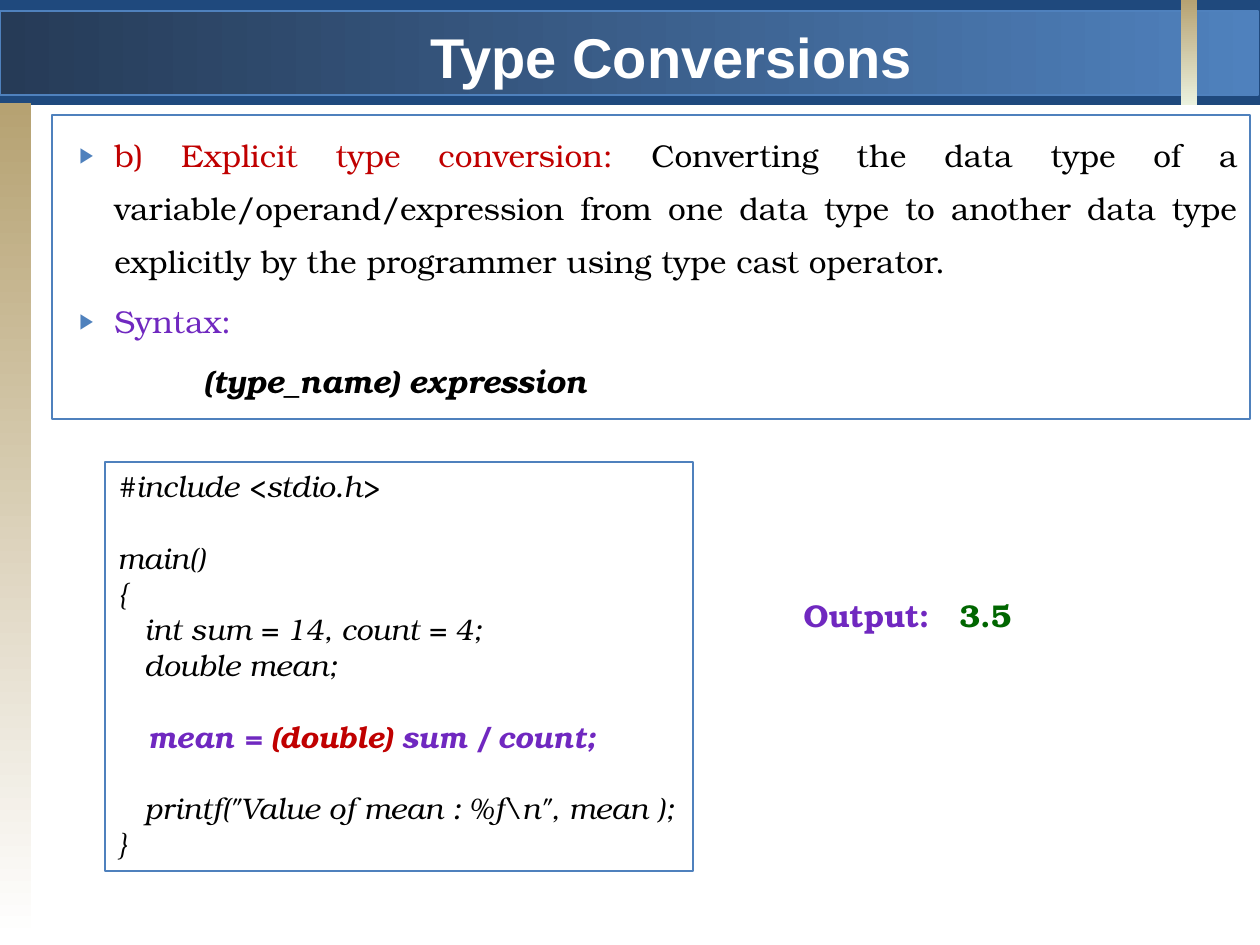
"""Build the slide on explicit type conversion."""
from dataclasses import dataclass

from lxml.etree import SubElement
from pptx import Presentation
from pptx.dml.color import RGBColor
from pptx.enum.shapes import MSO_SHAPE
from pptx.enum.text import MSO_ANCHOR, MSO_AUTO_SIZE, PP_ALIGN
from pptx.oxml.ns import qn
from pptx.util import Emu, Pt

EMU_PER_PX = 914400 / 126


def px(length):
    return Emu(round(length * EMU_PER_PX))


@dataclass(frozen=True)
class Theme:
    navy: str = "1F497D"
    blue: str = "4F81BD"
    dark_blue: str = "263B57"
    tan: str = "B6A272"
    cream: str = "EBF1DE"
    white: str = "FFFFFF"
    black: str = "000000"
    red: str = "C00000"
    purple: str = "7028C0"
    green: str = "006600"
    title_font: str = "Arial"
    text_font: str = "TeX Gyre Bonum"
    title_size: int = 32
    body_size: int = 18
    code_size: int = 17
    code_line: float = 20.5


@dataclass(frozen=True)
class Span:
    text: str
    color: str = Theme.black
    bold: bool = False
    italic: bool = False


class SlideBuilder:
    def __init__(self, slide, theme):
        self.slide = slide
        self.theme = theme

    def rectangle(self, box, colors=(), angle=0, line=None, line_width=0.75):
        shape = self.slide.shapes.add_shape(MSO_SHAPE.RECTANGLE, *map(px, box))
        shape.shadow.inherit = False
        if len(colors) == 2:
            shape.fill.gradient()
            shape.fill.gradient_angle = angle
            for stop, color in zip(shape.fill.gradient_stops, colors):
                stop.color.rgb = RGBColor.from_string(color)
        elif colors:
            shape.fill.solid()
            shape.fill.fore_color.rgb = RGBColor.from_string(colors[0])
        else:
            shape.fill.background()
        if line:
            shape.line.color.rgb = RGBColor.from_string(line)
            shape.line.width = Pt(line_width)
        else:
            shape.line.fill.background()
        shape.text_frame.vertical_anchor = MSO_ANCHOR.TOP
        return shape

    def style(self, font, name, size, color, bold=False, italic=False):
        font.name, font.size = name, Pt(size)
        font.color.rgb = RGBColor.from_string(color)
        font.bold, font.italic = bold, italic

    def title(self, text, box):
        title = self.slide.shapes.title
        title.left, title.top, title.width, title.height = map(px, box)
        self.slide.shapes.element.append(title.element)
        frame = title.text_frame
        frame.text = text
        frame.auto_size = MSO_AUTO_SIZE.NONE
        frame.vertical_anchor = MSO_ANCHOR.TOP
        frame.margin_top, frame.margin_bottom = px(12), 0
        paragraph = frame.paragraphs[0]
        paragraph.alignment = PP_ALIGN.CENTER
        self.style(paragraph.runs[0].font, self.theme.title_font,
                   self.theme.title_size, self.theme.white, bold=True)

    def paragraphs(self, frame, lines, size, alignment=PP_ALIGN.LEFT):
        frame.word_wrap = True
        for index, spans in enumerate(lines):
            paragraph = frame.add_paragraph() if index else frame.paragraphs[0]
            paragraph.alignment = alignment
            for span in spans:
                run = paragraph.add_run()
                run.text = span.text
                self.style(run.font, self.theme.text_font, size,
                           span.color, span.bold, span.italic)
        return frame.paragraphs

    def indent(self, paragraph, margin, first_line=0, bullet=None):
        properties = paragraph._p.get_or_add_pPr()
        properties.set("marL", str(px(margin)))
        properties.set("indent", str(px(first_line)))
        if bullet:
            color = SubElement(properties, qn("a:buClr"))
            SubElement(color, qn("a:srgbClr"), val=self.theme.blue)
            SubElement(properties, qn("a:buSzPct"), val="68000")
            SubElement(properties, qn("a:buFont"), typeface=self.theme.title_font)
            SubElement(properties, qn("a:buChar"), char=bullet)

    def definition(self, box, points, syntax):
        frame = self.rectangle(box, line=self.theme.blue).text_frame
        *bulleted, last = self.paragraphs(
            frame, [*points, syntax], self.theme.body_size, PP_ALIGN.JUSTIFY)
        for paragraph in bulleted:
            self.indent(paragraph, 50, -35, "▶")
        self.indent(last, 140)
        for index, paragraph in enumerate(frame.paragraphs):
            paragraph.line_spacing = 1.4
            paragraph.space_before = Pt(4 if index else 0)

    def code(self, box, blocks):
        frame = self.rectangle(box, line=self.theme.blue, line_width=1.5).text_frame
        lines = [line for block in blocks for line in block]
        paragraphs = self.paragraphs(frame, lines, self.theme.code_size)
        start = 0
        for block in blocks[:-1]:
            start += len(block)
            paragraphs[start].space_before = Pt(self.theme.code_line)

    def output(self, box, label, value, tab):
        frame = self.slide.shapes.add_textbox(*map(px, box)).text_frame
        properties = frame.paragraphs[0]._p.get_or_add_pPr()
        tabs = SubElement(properties, qn("a:tabLst"))
        SubElement(tabs, qn("a:tab"), pos=str(px(tab)), algn="l")
        spans = [Span(f"{label}\t", self.theme.purple, bold=True),
                 Span(value, self.theme.green, bold=True)]
        self.paragraphs(frame, [spans], self.theme.body_size)


def main():
    presentation = Presentation()
    presentation.slide_width, presentation.slide_height = px(1260), px(945)
    slide = presentation.slides.add_slide(presentation.slide_layouts[5])
    theme = Theme()
    builder = SlideBuilder(slide, theme)

    builder.rectangle((0, 0, 1260, 105), [theme.navy])
    builder.rectangle((0, 11, 1258, 84), [theme.dark_blue, theme.blue], line=theme.blue)
    builder.rectangle((0, 103, 31, 837), [theme.tan, theme.white], angle=270)
    builder.rectangle((1181, 0, 16, 105), [theme.tan, theme.cream], angle=270)
    builder.title("Type Conversions", (199, 10, 945, 73))

    builder.definition(
        (52, 115, 1198, 304),
        [[Span("b) Explicit type conversion: ", theme.red),
          Span("Converting the data type of a variable/operand/expression from one "
               "data type to another data type explicitly by the programmer using "
               "type cast operator.")],
         [Span("Syntax:", theme.purple)]],
        [Span("(type_name) expression", bold=True, italic=True)])

    def plain(*lines):
        return [[Span(line, italic=True)] for line in lines]

    cast = [Span("   mean = ", theme.purple, True, True),
            Span("(double) ", theme.red, True, True),
            Span("sum / count;", theme.purple, True, True)]
    builder.code((105, 462, 588, 409), [
        plain("#include <stdio.h>"),
        plain("main()", "{", "   int sum = 14, count = 4;", "   double mean;"),
        [cast],
        plain(r'   printf("Value of mean : %f\n", mean );', "}")])
    builder.output((791, 590, 247, 50), "Output:", "3.5", tab=156)

    presentation.save("out.pptx")


if __name__ == "__main__":
    main()
